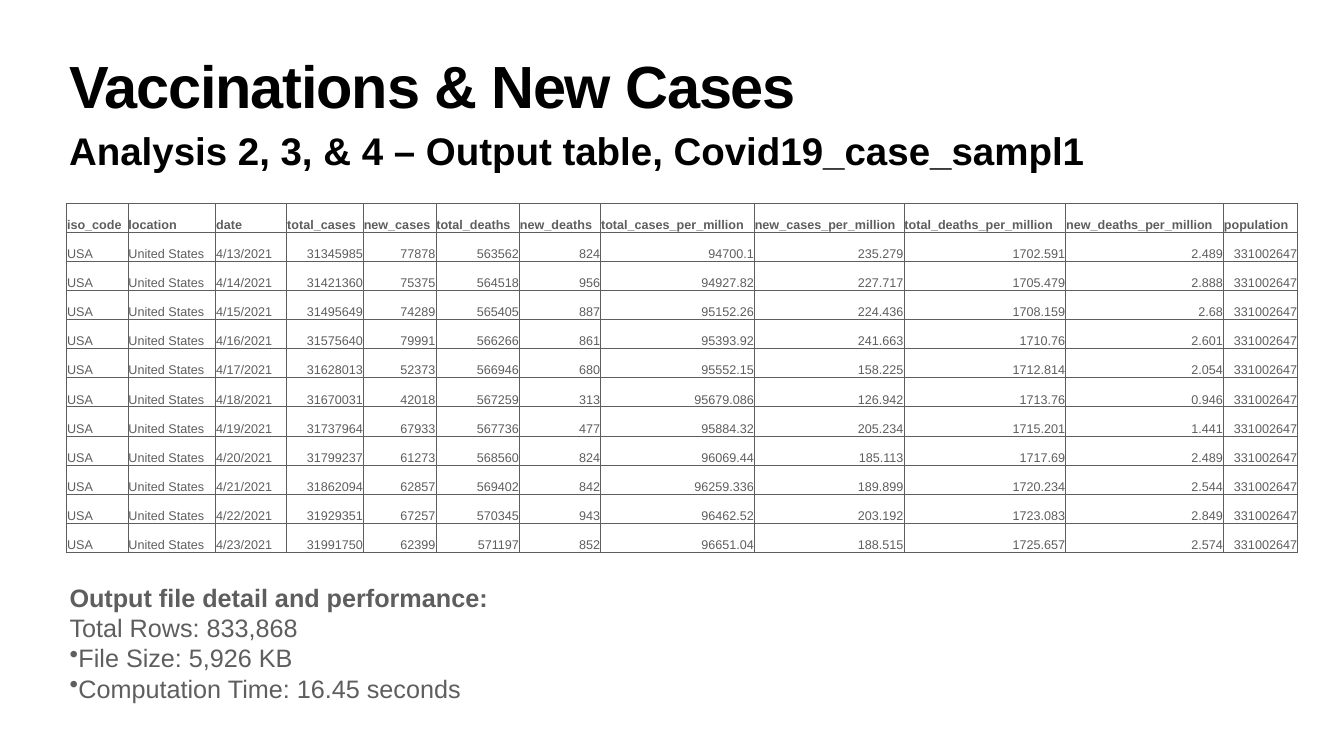
import dataclasses

import pptx
import pptx.dml.color
import pptx.enum.text
import pptx.oxml.ns
import pptx.slide
import pptx.util
from lxml import etree

Pt = pptx.util.Pt
ANCHOR = pptx.enum.text.MSO_ANCHOR
ALIGN = pptx.enum.text.PP_ALIGN

BLACK = pptx.dml.color.RGBColor(0x00, 0x00, 0x00)
GRAY = pptx.dml.color.RGBColor(0x5E, 0x5E, 0x5E)

LEFT = 95.04
ROW_HEIGHT = 41.58
TEXT_COLUMNS = 3

# Column name and width in points
COLUMNS = [
    ("iso_code", 87.84), ("location", 125.28), ("date", 101.52),
    ("total_cases", 109.44), ("new_cases", 103.68),
    ("total_deaths", 119.52), ("new_deaths", 115.92),
    ("total_cases_per_million", 219.6), ("new_cases_per_million", 213.84),
    ("total_deaths_per_million", 231.12), ("new_deaths_per_million", 225.36),
    ("population", 105.84),
]

# The columns from date to new_deaths_per_million
DAILY_FIGURES = """
4/13/2021 31345985 77878 563562 824 94700.1 235.279 1702.591 2.489
4/14/2021 31421360 75375 564518 956 94927.82 227.717 1705.479 2.888
4/15/2021 31495649 74289 565405 887 95152.26 224.436 1708.159 2.68
4/16/2021 31575640 79991 566266 861 95393.92 241.663 1710.76 2.601
4/17/2021 31628013 52373 566946 680 95552.15 158.225 1712.814 2.054
4/18/2021 31670031 42018 567259 313 95679.086 126.942 1713.76 0.946
4/19/2021 31737964 67933 567736 477 95884.32 205.234 1715.201 1.441
4/20/2021 31799237 61273 568560 824 96069.44 185.113 1717.69 2.489
4/21/2021 31862094 62857 569402 842 96259.336 189.899 1720.234 2.544
4/22/2021 31929351 67257 570345 943 96462.52 203.192 1723.083 2.849
4/23/2021 31991750 62399 571197 852 96651.04 188.515 1725.657 2.574
"""


def set_all(target, values):
    for name, value in values.items():
        setattr(target, name, value)


@dataclasses.dataclass
class SlideBuilder:
    slide: pptx.slide.Slide
    font_name: str = "Arial"
    border_width: float = 1
    cell_margin: float = 0.72

    def style_font(self, font, size, color, bold):
        set_all(font, {"name": self.font_name, "size": Pt(size), "bold": bold})
        font.color.rgb = color

    def text(self, frame, lines, size, color, inset, anchor=ANCHOR.TOP):
        """Add a text box; lines holds (text, bold, bulleted) for each paragraph."""
        box = self.slide.shapes.add_textbox(*map(Pt, frame))
        sides = ("margin_left", "margin_top", "margin_right", "margin_bottom")
        set_all(box.text_frame, {
            "word_wrap": True,
            "vertical_anchor": anchor,
            **dict.fromkeys(sides, Pt(inset)),
        })
        for index, (words, bold, bulleted) in enumerate(lines):
            frame_text = box.text_frame
            para = frame_text.add_paragraph() if index else frame_text.paragraphs[0]
            if bulleted:
                self.bullet(para)
            span = para.add_run()
            span.text = words
            self.style_font(span.font, size, color, bold)
        return box

    def bullet(self, para):
        """Put a bullet directly before the text, with no indent."""
        properties = para._p.get_or_add_pPr()
        properties.set("marL", "0")
        properties.set("indent", "0")
        mark = etree.SubElement(properties, pptx.oxml.ns.qn("a:buChar"))
        mark.set("char", "•")

    def borders(self, cell):
        properties = cell._tc.get_or_add_tcPr()
        qn = pptx.oxml.ns.qn
        for side in ("a:lnL", "a:lnR", "a:lnT", "a:lnB"):
            line = etree.SubElement(properties, qn(side), w=str(Pt(self.border_width)))
            fill = etree.SubElement(line, qn("a:solidFill"))
            etree.SubElement(fill, qn("a:srgbClr"), val=str(GRAY))

    def cell(self, cell, words, size, bold, align):
        margin = Pt(self.cell_margin)
        set_all(cell, {
            "text": words,
            "vertical_anchor": ANCHOR.BOTTOM,
            "margin_left": margin,
            "margin_top": margin,
            "margin_right": margin,
            "margin_bottom": 0,
        })
        self.borders(cell)
        cell.fill.background()
        para = cell.text_frame.paragraphs[0]
        para.alignment = align
        self.style_font(para.runs[0].font, size, GRAY, bold)

    def table(self, left, top, columns, rows, size):
        names, widths = zip(*columns)
        grid = [names, *rows]
        table = self.slide.shapes.add_table(
            len(grid), len(names), Pt(left), Pt(top),
            Pt(sum(widths)), Pt(ROW_HEIGHT * len(grid)),
        ).table
        set_all(table, {"first_row": False, "horz_banding": False})
        for column, width in zip(table.columns, widths):
            column.width = Pt(width)
        for row_index, values in enumerate(grid):
            table.rows[row_index].height = Pt(ROW_HEIGHT)
            header = row_index == 0
            for index, words in enumerate(values):
                left_side = header or index < TEXT_COLUMNS
                align = ALIGN.LEFT if left_side else ALIGN.RIGHT
                self.cell(table.cell(row_index, index), words, size, header, align)


def main():
    deck = pptx.Presentation()
    set_all(deck, {"slide_width": Pt(1920.24), "slide_height": Pt(1080)})
    builder = SlideBuilder(deck.slides.add_slide(deck.slide_layouts[6]))

    builder.text(
        (LEFT, 177.84, 1730.16, 73.44),
        [("Analysis 2, 3, & 4 – Output table, Covid19_case_sampl1", True, False)],
        55, BLACK, 3.6,
    )
    title = builder.text(
        (LEFT, 84.96, 1730.16, 113.04),
        [("Vaccinations & New Cases", True, False)],
        85, BLACK, 4.32,
    )
    para = title.text_frame.paragraphs[0]
    para.line_spacing = 0.8
    para.runs[0]._r.get_or_add_rPr().set("spc", "-170")

    rows = [
        ["USA", "United States", *line.split(), "331002647"]
        for line in DAILY_FIGURES.strip().splitlines()
    ]
    builder.table(LEFT, 290.16, COLUMNS, rows, 18)

    builder.text(
        (LEFT, 826.56, 797.04, 182.88),
        [
            ("Output file detail and performance:", True, False),
            ("Total Rows: 833,868", False, False),
            ("File Size: 5,926 KB", False, True),
            ("Computation Time: 16.45 seconds", False, True),
        ],
        36, GRAY, 4.32, ANCHOR.MIDDLE,
    )
    deck.save("out.pptx")


if __name__ == "__main__":
    main()
